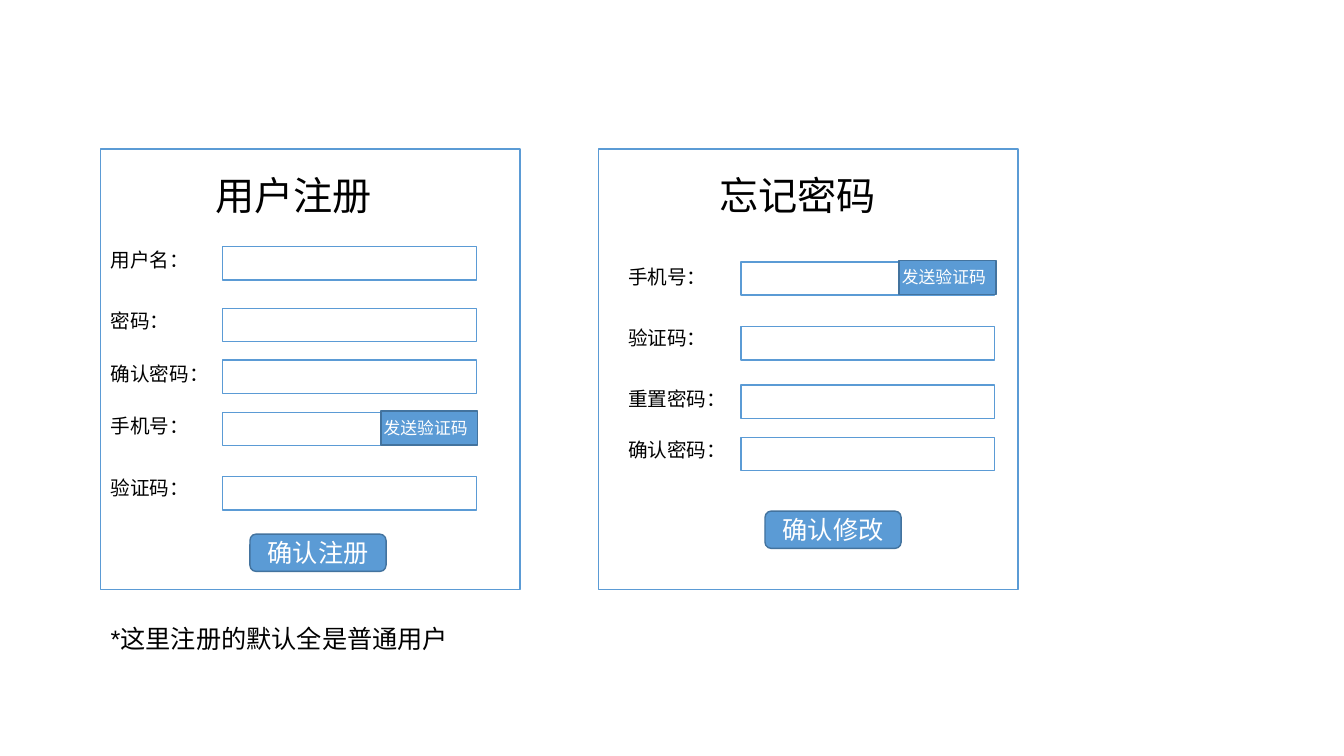
from dataclasses import dataclass

from pptx import Presentation
from pptx.dml.color import RGBColor
from pptx.enum.shapes import MSO_SHAPE as Preset
from pptx.enum.text import MSO_ANCHOR as Anchor, PP_ALIGN as Align
from pptx.shapes.autoshape import Shape
from pptx.slide import Slide
from pptx.util import Cm, Pt

BLUE = RGBColor(0x5B, 0x9B, 0xD5)
DARK_BLUE = RGBColor(0x43, 0x73, 0x9E)
BLACK = RGBColor(0, 0, 0)
WHITE = RGBColor(0xFF, 0xFF, 0xFF)

FONT = "Arial"
PANEL_TOP, PANEL_WIDTH, PANEL_HEIGHT = 3.76, 10.57, 11.1
TITLE_TOP = 4.19
FIELD_WIDTH, FIELD_HEIGHT = 6.4, 0.84


@dataclass
class Box:
    """A rectangle in centimetres."""
    left: float
    top: float
    width: float
    height: float

    def lengths(self) -> list[Cm]:
        return [Cm(value) for value in (self.left, self.top, self.width, self.height)]


@dataclass
class Row:
    label: str
    label_top: float
    field_top: float
    sends_code: bool = False


@dataclass
class Form:
    title: str
    left: float
    title_left: float
    label_left: float
    field_left: float
    rows: list[Row]
    submit: str
    submit_left: float
    submit_top: float


FORMS = [
    Form("用户注册", 2.54, 5.18, 2.54, 5.61, [
        Row("用户名：", 6.12, 6.22),
        Row("密码：", 7.67, 7.77),
        Row("确认密码：", 8.99, 9.07),
        Row("手机号：", 10.31, 10.39, sends_code=True),
        Row("验证码：", 11.86, 12.01),
    ], "确认注册", 6.3, 13.46),
    Form("忘记密码", 15.09, 17.88, 15.58, 18.67, [
        Row("手机号：", 6.55, 6.6, sends_code=True),
        Row("验证码：", 8.08, 8.23),
        Row("重置密码：", 9.63, 9.7),
        Row("确认密码：", 10.92, 11.02),
    ], "确认修改", 19.28, 12.88),
]


def write(shape: Shape, text: str, size: int, color: RGBColor) -> None:
    run = shape.text_frame.paragraphs[0].add_run()
    run.text = text
    for name, value in {"name": FONT, "size": Pt(size)}.items():
        setattr(run.font, name, value)
    run.font.color.rgb = color


def add_text(slide: Slide, box: Box, text: str, size: int, color: RGBColor = BLACK) -> None:
    shape = slide.shapes.add_textbox(*box.lengths())
    shape.text_frame.word_wrap = True
    write(shape, text, size, color)


def add_outline(slide: Slide, box: Box) -> None:
    shape = slide.shapes.add_shape(Preset.RECTANGLE, *box.lengths())
    shape.shadow.inherit = False
    shape.fill.background()
    shape.line.color.rgb = BLUE
    shape.line.width = Pt(1)


def add_button(slide: Slide, box: Box, preset: Preset = Preset.RECTANGLE) -> Shape:
    shape = slide.shapes.add_shape(preset, *box.lengths())
    shape.shadow.inherit = False
    shape.fill.solid()
    shape.fill.fore_color.rgb = BLUE
    shape.line.color.rgb = DARK_BLUE
    shape.line.width = Pt(1)
    return shape


def add_row(slide: Slide, form: Form, row: Row) -> None:
    add_text(slide, Box(form.label_left, row.label_top, 3.05, 0.86), row.label, 14)
    add_outline(slide, Box(form.field_left, row.field_top, FIELD_WIDTH, FIELD_HEIGHT))
    if row.sends_code:
        left = form.field_left + 3.99
        add_button(slide, Box(left, row.field_top - 0.03, 2.44, 0.86))
        add_text(slide, Box(left - 0.18, row.field_top, 2.7, 0.76), "发送验证码", 12, WHITE)


def add_form(slide: Slide, form: Form) -> None:
    add_outline(slide, Box(form.left, PANEL_TOP, PANEL_WIDTH, PANEL_HEIGHT))
    add_text(slide, Box(form.title_left, TITLE_TOP, 6.25, 1.45), form.title, 28)
    for row in form.rows:
        add_row(slide, form, row)
    submit = add_button(slide, Box(form.submit_left, form.submit_top, 3.43, 0.94),
                        Preset.ROUNDED_RECTANGLE)
    submit.text_frame.vertical_anchor = Anchor.MIDDLE
    submit.text_frame.paragraphs[0].alignment = Align.CENTER
    write(submit, form.submit, 18, WHITE)


def main() -> None:
    presentation = Presentation()
    presentation.slide_width = Cm(33.87)
    presentation.slide_height = Cm(19.05)
    slide = presentation.slides.add_slide(presentation.slide_layouts[6])
    for form in FORMS:
        add_form(slide, form)
    add_text(slide, Box(2.54, 15.57, 11.28, 1.02), "*这里注册的默认全是普通用户", 18)
    presentation.save("out.pptx")


if __name__ == "__main__":
    main()
